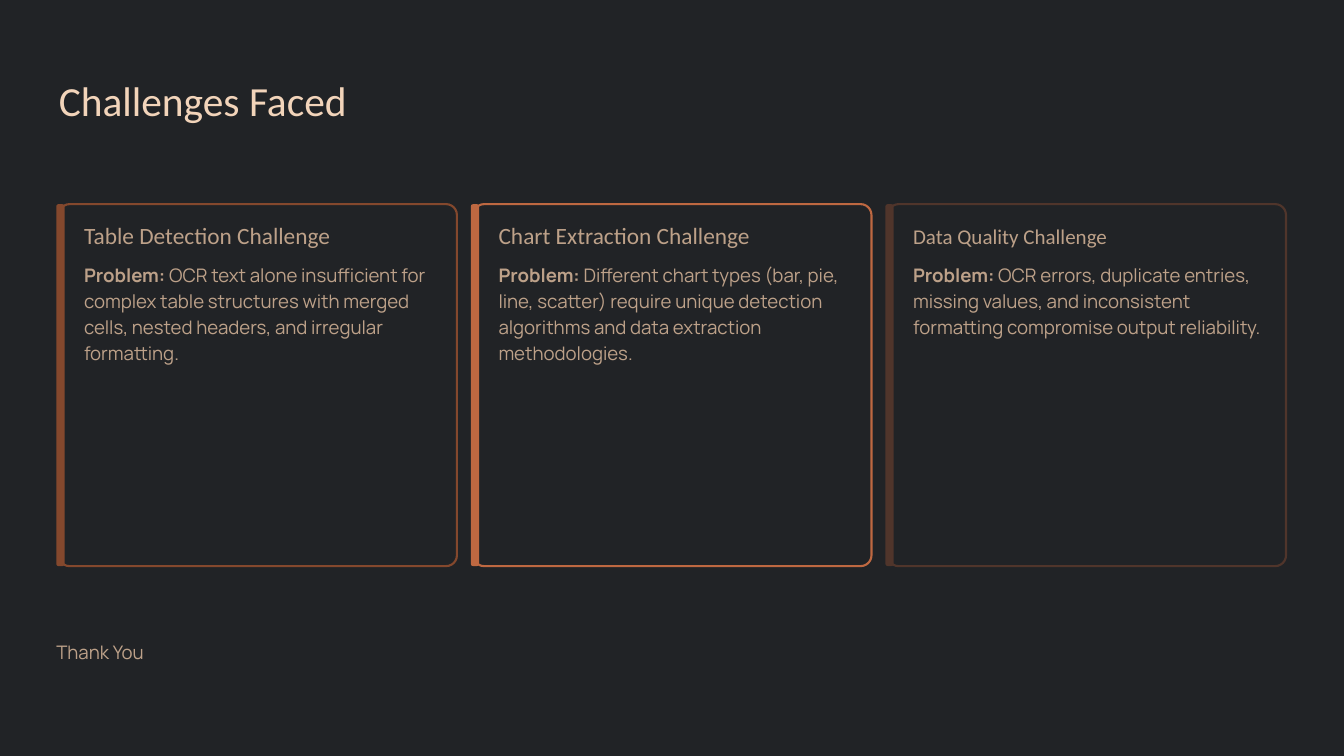
from dataclasses import dataclass

from pptx import Presentation
from pptx.dml.color import RGBColor
from pptx.enum.shapes import MSO_SHAPE as Shape
from pptx.enum.text import MSO_ANCHOR as Anchor, MSO_AUTO_SIZE as AutoSize, PP_ALIGN as Align
from pptx.util import Inches, Pt

TITLE = "Challenges Faced"
CLOSING = "Thank You"
LABEL = "Problem:"
CHALLENGES = [
    ("Table Detection Challenge", 20, 3.15, "84482D",
     " OCR text alone insufficient for complex table structures with merged cells, "
     "nested headers, and irregular formatting."),
    ("Chart Extraction Challenge", 20, 3.25, "BE6841",
     " Different chart types (bar, pie, line, scatter) require unique detection "
     "algorithms and data extraction methodologies."),
    ("Data Quality Challenge", 18, 2.77, "50352B",
     " OCR errors, duplicate entries, missing values, and inconsistent formatting "
     "compromise output reliability."),
]


@dataclass(frozen=True)
class Theme:
    background: str = "212326"
    title: str = "F2D4BA"
    text: str = "BDA189"
    heading_font: str = "Calibri"
    body_font: str = "Manrope"
    title_size: float = 35.5
    body_size: float = 16
    title_leading: float = 44.5
    heading_leading: float = 22
    body_leading: float = 22.5
    outline: float = 1.8


THEME = Theme()
FIRST_LEFT, LAST_LEFT = 0.67, 10.54
CARD_TOP, CARD_WIDTH, CARD_HEIGHT = 2.43, 4.74, 4.31
BAR_WIDTH, CARD_INSET, TEXT_INSET = 0.1, 0.03, 0.33
PITCH = (LAST_LEFT - FIRST_LEFT) / (len(CHALLENGES) - 1)


def color(value):
    return RGBColor.from_string(value)


def write(box, runs, font, size, leading, ink=THEME.text):
    frame = box.text_frame
    frame.auto_size = AutoSize.NONE
    frame.word_wrap = True
    frame.vertical_anchor = Anchor.TOP
    frame.margin_left = frame.margin_right = frame.margin_top = frame.margin_bottom = 0
    paragraph = frame.paragraphs[0]
    paragraph.alignment = Align.LEFT
    paragraph.line_spacing = Pt(leading)
    paragraph.font.name = font
    paragraph.font.size = Pt(size)
    paragraph.font.color.rgb = color(ink)
    for text, bold in runs:
        run = paragraph.add_run()
        run.text = text
        if bold:
            run.font.bold = True


def add_text(slide, left, top, width, height, *style):
    box = slide.shapes.add_textbox(Inches(left), Inches(top), Inches(width), Inches(height))
    write(box, *style)


def add_panel(slide, left, width, rounding, fill, outline=None):
    panel = slide.shapes.add_shape(Shape.ROUNDED_RECTANGLE, Inches(left), Inches(CARD_TOP),
                                   Inches(width), Inches(CARD_HEIGHT))
    panel.adjustments[0] = rounding
    panel.shadow.inherit = False
    panel.fill.solid()
    panel.fill.fore_color.rgb = color(fill)
    if outline:
        panel.line.color.rgb = color(outline)
        panel.line.width = Pt(THEME.outline)
    else:
        panel.line.fill.background()


def add_card(slide, left, heading, heading_size, heading_width, accent, problem):
    add_panel(slide, left + CARD_INSET, CARD_WIDTH, 0.03, THEME.background, accent)
    add_panel(slide, left, BAR_WIDTH, 0.3, accent)
    add_text(slide, left + TEXT_INSET, 2.66, heading_width, 0.31, [(heading, False)],
             THEME.heading_font, heading_size, THEME.heading_leading)
    add_text(slide, left + TEXT_INSET, 3.09, 4.21, 1.25, [(LABEL, True), (problem, False)],
             THEME.body_font, THEME.body_size, THEME.body_leading)


def main():
    deck = Presentation()
    deck.slide_width, deck.slide_height = Inches(16), Inches(9)
    slide = deck.slides.add_slide(deck.slide_layouts[5])
    slide.background.fill.solid()
    slide.background.fill.fore_color.rgb = color(THEME.background)

    title = slide.shapes.title
    title.left, title.top = Inches(0.7), Inches(0.87)
    title.width, title.height = Inches(11.13), Inches(0.62)
    write(title, [(TITLE, False)], THEME.heading_font, THEME.title_size,
          THEME.title_leading, THEME.title)

    for index, challenge in enumerate(CHALLENGES):
        add_card(slide, FIRST_LEFT + index * PITCH, *challenge)

    add_text(slide, FIRST_LEFT, 7.58, 14.61, 0.32, [(CLOSING, False)],
             THEME.body_font, THEME.body_size, THEME.body_leading)
    deck.save("out.pptx")


if __name__ == "__main__":
    main()
